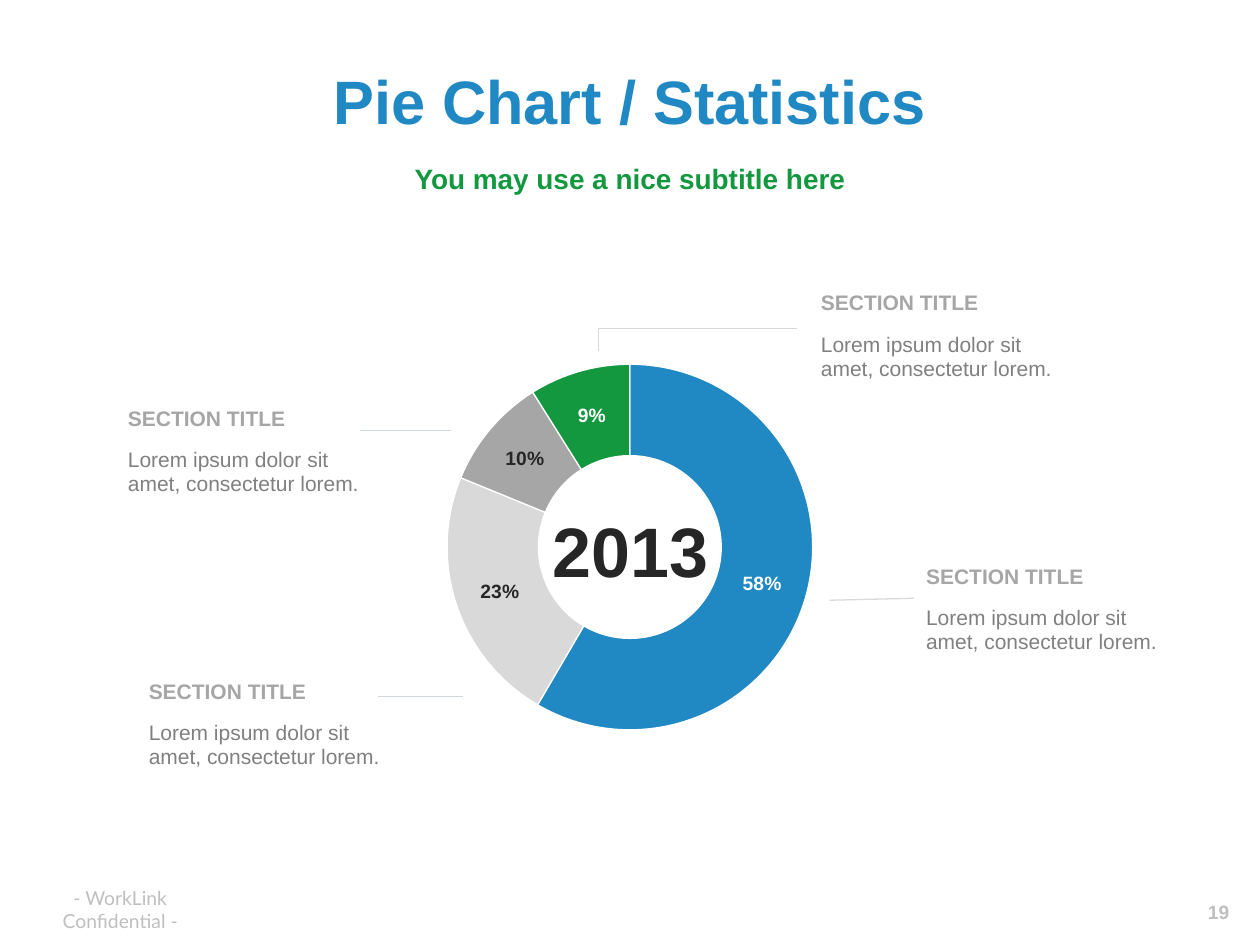
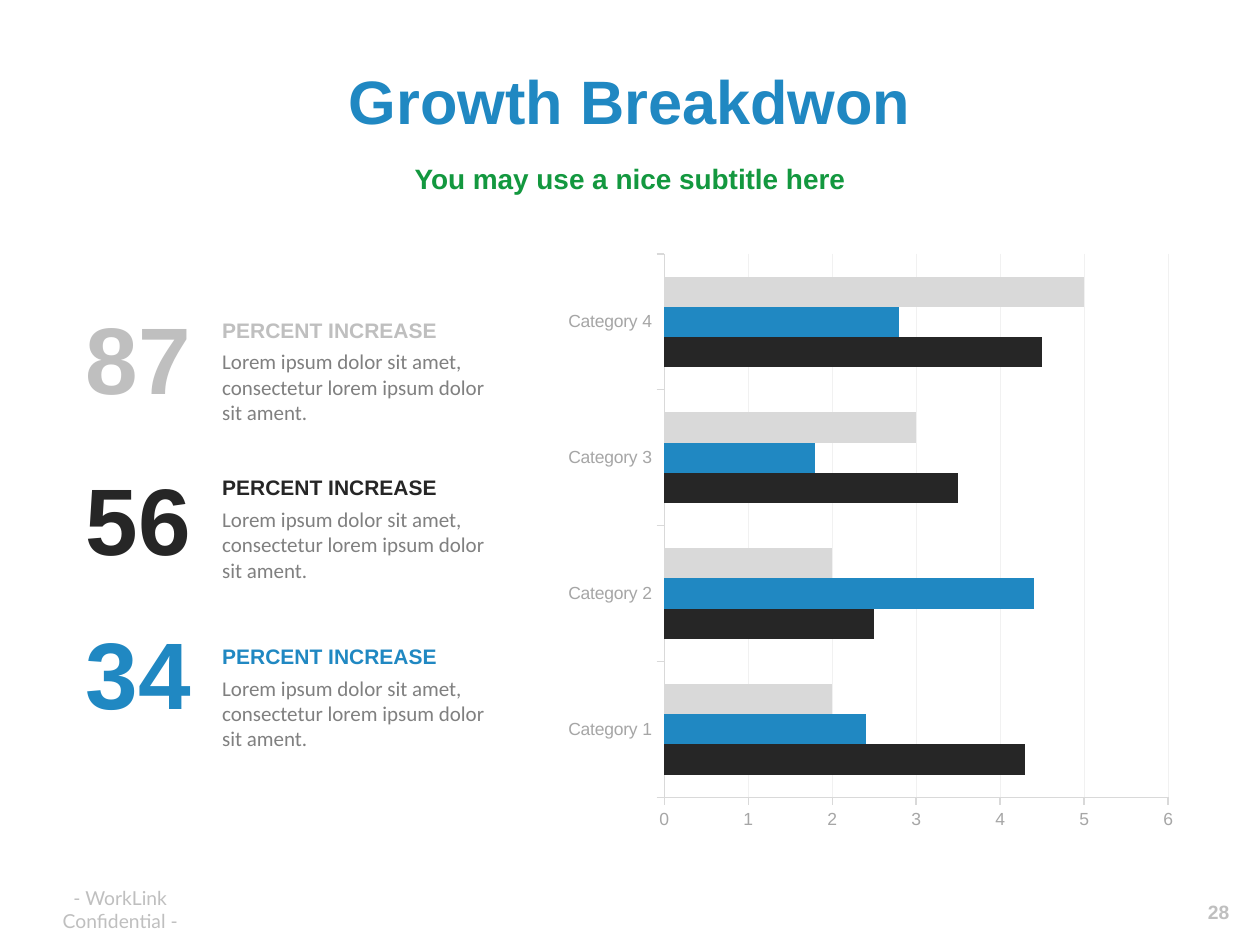
from lxml import etree
from pptx import Presentation
from pptx import util as u
from pptx.chart.data import CategoryChartData
from pptx.dml.color import RGBColor
from pptx.enum import chart as charts, shapes, text
from pptx.oxml.ns import qn

BLUE = RGBColor(0x20, 0x88, 0xC2)
GREEN = RGBColor(0x13, 0x98, 0x3F)
INK = RGBColor(0x26, 0x26, 0x26)
WHITE = RGBColor(0xFF, 0xFF, 0xFF)
GREY = RGBColor(0x80, 0x80, 0x80)
MID_GREY = RGBColor(0xA6, 0xA6, 0xA6)
SOFT_GREY = RGBColor(0xBF, 0xBF, 0xBF)
PALE_GREY = RGBColor(0xD9, 0xD9, 0xD9)
COOL_GREY = RGBColor(0xCF, 0xD6, 0xDC)
GRID_GREY = RGBColor(0xF1, 0xF1, 0xF1)

CENTER = text.PP_ALIGN.CENTER
MIDDLE = text.MSO_ANCHOR.MIDDLE
SUBTITLE = "You may use a nice subtitle here"
FOOTER = "- WorkLink Confidential -"
CALLOUT = "Lorem ipsum dolor sit amet, consectetur lorem."
STAT_NOTE = "Lorem ipsum dolor sit amet, consectetur lorem ipsum dolor sit ament."


def cm(*lengths):
    return [u.Cm(length) for length in lengths]


def style_font(font, size, color, bold=False, name="Arial"):
    font.name, font.size, font.bold = name, u.Pt(size), bold
    font.color.rgb = color


def style_line(line, color, width=0.75):
    line.color.rgb = color
    line.width = u.Pt(width)


def add_label(slide, box, words, size, color, bold=False, name="Arial",
              align=text.PP_ALIGN.LEFT, anchor=text.MSO_ANCHOR.TOP, spacing=None):
    frame = slide.shapes.add_textbox(*cm(*box)).text_frame
    frame.word_wrap = True
    frame.vertical_anchor = anchor
    frame.text = words
    paragraph = frame.paragraphs[0]
    paragraph.alignment = align
    paragraph.line_spacing = spacing
    style_font(paragraph.runs[0].font, size, color, bold, name)


def fill_placeholder(placeholder, box, words, size, color, spacing=1.0):
    placeholder.left, placeholder.top, placeholder.width, placeholder.height = cm(*box)
    frame = placeholder.text_frame
    frame.text = words
    frame.auto_size = text.MSO_AUTO_SIZE.NONE
    frame.vertical_anchor = MIDDLE
    paragraph = frame.paragraphs[0]
    properties = paragraph._p.get_or_add_pPr()
    properties.set("marL", "0")
    properties.set("indent", "0")
    etree.SubElement(properties, qn("a:buNone"))
    paragraph.alignment = CENTER
    paragraph.line_spacing = spacing
    paragraph.space_before = u.Pt(0)
    style_font(paragraph.runs[0].font, size, color, True)


def add_base_slide(deck, title, number):
    """Add a slide with the shared title, subtitle, footer and page number."""
    slide = deck.slides.add_slide(deck.slide_layouts[1])
    fill_placeholder(slide.shapes.title, (1.27, 1.07, 22.86, 1.9), title, 35, BLUE)
    fill_placeholder(slide.placeholders[1], (1.27, 2.97, 22.86, 1.19),
                     SUBTITLE, 16, GREEN, 1.1)
    add_label(slide, (0.2, 17.83, 4.45, 1.02), FOOTER, 11, SOFT_GREY,
              name="Lato", align=CENTER, anchor=MIDDLE)
    add_label(slide, (23.93, 17.88, 1.27, 1.02), number, 11, SOFT_GREY, True,
              align=CENTER, anchor=MIDDLE)
    return slide


def add_chart(slide, kind, box, categories, series, plot_box):
    """Add a chart whose inner plot takes the given fractions of its box."""
    data = CategoryChartData()
    data.categories = categories
    for name, values in series:
        data.add_series(name, values)
    chart = slide.shapes.add_chart(kind, *cm(*box), data).chart
    chart.has_legend = chart.has_title = False
    chart.font.name, chart.font.size = "Calibri", u.Pt(18)
    plot_area = chart.element.find(".//" + qn("c:plotArea"))
    for layout in plot_area.findall(qn("c:layout")):
        plot_area.remove(layout)
    layout = etree.Element(qn("c:layout"))
    manual = etree.SubElement(layout, qn("c:manualLayout"))
    settings = [("layoutTarget", "inner"), ("xMode", "edge"), ("yMode", "edge"),
                *zip("xywh", plot_box)]
    for tag, value in settings:
        etree.SubElement(manual, qn(f"c:{tag}")).set("val", str(value))
    plot_area.insert(0, layout)
    return chart


def add_doughnut(slide, box):
    quarters = ["1st Qtr", "2nd Qtr", "3rd Qtr", "4th Qtr"]
    shares = [59, 23, 10, 9]
    colors = [(BLUE, WHITE), (PALE_GREY, INK), (MID_GREY, INK), (GREEN, WHITE)]
    chart = add_chart(slide, charts.XL_CHART_TYPE.DOUGHNUT, box, quarters,
                      [("Series 1", shares)], (0.16, 0.05, 0.74, 0.89))
    chart.element.find(".//" + qn("c:holeSize")).set("val", "75")
    plot = chart.plots[0]
    plot.vary_by_categories = True
    for index, (share, (fill, ink)) in enumerate(zip(shares, colors)):
        point = plot.series[0].points[index]
        point.format.fill.solid()
        point.format.fill.fore_color.rgb = fill
        style_line(point.format.line, WHITE)
        frame = point.data_label.text_frame
        frame.text = f"{share / sum(shares):.0%}"
        style_font(frame.paragraphs[0].runs[0].font, 11, ink, True)


def add_leader(slide, ends, color, width):
    leader = slide.shapes.add_connector(shapes.MSO_CONNECTOR.STRAIGHT, *cm(*ends))
    style_line(leader.line, color, width)
    etree.SubElement(leader._element.spPr, qn("a:effectLst"))


def add_callout(slide, left, top):
    add_label(slide, (left, top, 5.51, 0.76), "SECTION TITLE", 12, MID_GREY, True)
    add_label(slide, (left, top + 0.85, 5.51, 1.7), CALLOUT, 12, GREY,
              spacing=u.Pt(13.8))


def build_statistics(deck):
    slide = add_base_slide(deck, "Pie Chart / Statistics", "19")
    add_doughnut(slide, (7.42, 5.56, 9.96, 11.05))
    add_label(slide, (10.59, 10.11, 4.24, 1.96), "2013", 40, INK, True, align=CENTER)
    for ends in [(18.42, 12.06, 16.72, 12.1), (16.07, 6.62, 12.07, 6.62),
                 (12.07, 7.07, 12.07, 6.62)]:
        add_leader(slide, ends, PALE_GREY, 0.75)
    for ends in [(9.33, 14.04, 7.62, 14.04), (9.1, 8.68, 7.26, 8.68)]:
        add_leader(slide, ends, COOL_GREY, 1)
    for left, top in [(2.33, 8.05), (16.3, 5.72), (2.75, 13.55), (18.42, 11.23)]:
        add_callout(slide, left, top)


def add_growth_bars(slide, box):
    series = [("Series 1", [4.3, 2.5, 3.5, 4.5]), ("Series 2", [2.4, 4.4, 1.8, 2.8]),
              ("Series 3", [2, 2, 3, 5])]
    chart = add_chart(slide, charts.XL_CHART_TYPE.BAR_CLUSTERED, box,
                      [f"Category {n}" for n in range(1, 5)], series,
                      (0.17, 0.02, 0.8, 0.91))
    plot = chart.plots[0]
    plot.gap_width = 150
    plot.vary_by_categories = False
    for bars, color in zip(plot.series, (INK, BLUE, PALE_GREY)):
        bars.format.fill.solid()
        bars.format.fill.fore_color.rgb = color
    for axis in (chart.category_axis, chart.value_axis):
        axis.major_tick_mark = charts.XL_TICK_MARK.OUTSIDE
        axis.minor_tick_mark = charts.XL_TICK_MARK.NONE
        style_font(axis.tick_labels.font, 10, MID_GREY)
        style_line(axis.format.line, PALE_GREY)
    values = chart.value_axis
    values.minimum_scale, values.maximum_scale, values.major_unit = 0, 6, 1
    values.has_major_gridlines = True
    style_line(values.major_gridlines.format.line, GRID_GREY, 0.25)


def add_stat(slide, left, figure_top, note_top, figure, color):
    """Add a large figure with a heading and a note to its right."""
    note_left = left + 2.75
    add_label(slide, (left, figure_top, 2.75, 2.45), figure, 54, color, True)
    add_label(slide, (note_left, note_top, 5.72, 0.84), "PERCENT INCREASE",
              12, color, True)
    add_label(slide, (note_left, note_top + 0.64, 5.92, 1.7), STAT_NOTE, 12, GREY,
              name="Calibri")


def build_growth(deck):
    slide = add_base_slide(deck, "Growth Breakdwon", "28")
    add_growth_bars(slide, (11.23, 4.88, 12.7, 12.04))
    for figure_top, note_top, figure, color in [(5.92, 6.27, "87", SOFT_GREY),
                                                (9.17, 9.45, "56", INK),
                                                (12.27, 12.85, "34", BLUE)]:
        add_stat(slide, 1.48, figure_top, note_top, figure, color)


def main():
    deck = Presentation()
    deck.slide_width, deck.slide_height = cm(25.4, 19.05)
    build_statistics(deck)
    build_growth(deck)
    deck.save("out.pptx")


if __name__ == "__main__":
    main()
